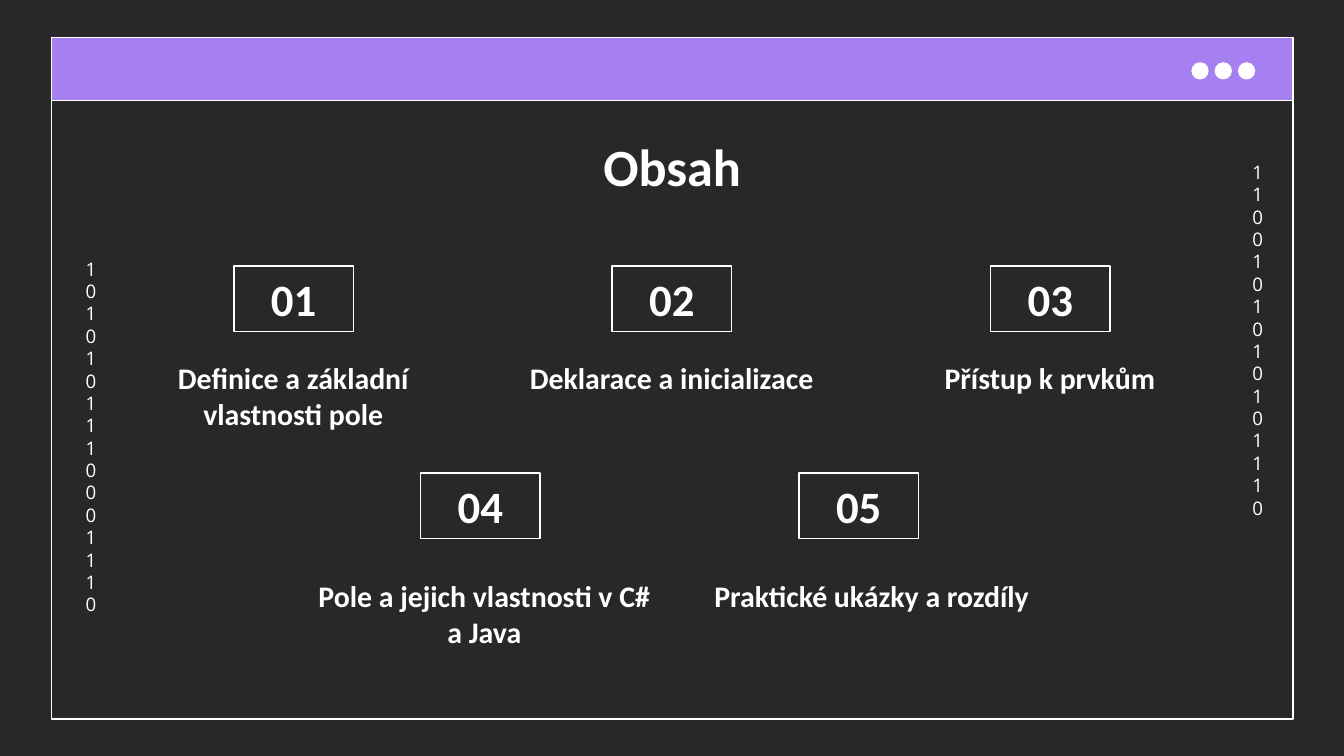
from pptx import Presentation
from pptx.dml.color import RGBColor
from pptx.enum import shapes, text
from pptx.util import Cm, Pt

COLORS = {"background": "292828", "bar": "A67FF1", "light": "FFFFFF"}

TITLE = {"name": "Calibri", "size": Pt(28), "bold": True}
NUMBER = {"name": "Calibri", "size": Pt(24), "bold": True}
LABEL = {"name": "Calibri", "size": Pt(16), "bold": True}
BINARY = {"name": "Open Sans", "size": Pt(10), "bold": False}

INSET = Cm(0.25)
FRAME = {
    "word_wrap": True,
    "margin_left": INSET,
    "margin_right": INSET,
    "margin_top": INSET,
    "margin_bottom": INSET,
}

# Each row: number left, top and pitch; label left, top, height and pitch; items
ROWS = [
    ((4.42, 5.03, 7.15), (2, 6.55, 1.42, 7.15), [
        ("01", "Definice a základní vlastnosti pole"),
        ("02", "Deklarace a inicializace"),
        ("03", "Přístup k prvkům"),
    ]),
    ((7.95, 8.94, 7.15), (5.61, 10.67, 1.6, 7.32), [
        ("04", "Pole a jejich vlastnosti v C# a Java"),
        ("05", "Praktické ukázky a rozdíly"),
    ]),
]


def color(key):
    return RGBColor.from_string(COLORS[key])


def set_all(target, values):
    for key, value in values.items():
        setattr(target, key, value)


def write(shape, paragraphs, font, anchor=text.MSO_ANCHOR.TOP, spacing=None):
    """Fill a shape with centred light paragraphs."""
    frame = shape.text_frame
    set_all(frame, FRAME)
    frame.vertical_anchor = anchor
    frame.text = "\n".join(paragraphs)
    for paragraph in frame.paragraphs:
        paragraph.alignment = text.PP_ALIGN.CENTER
        paragraph.line_spacing = spacing
        for run in paragraph.runs:
            set_all(run.font, font)
            run.font.color.rgb = color("light")


def add_outlined(slide, kind, box, fill=None):
    shape = slide.shapes.add_shape(kind, *map(Cm, box))
    shape.shadow.inherit = False
    if fill:
        shape.fill.solid()
        shape.fill.fore_color.rgb = color(fill)
    else:
        shape.fill.background()
    shape.line.color.rgb = color("light")
    shape.line.width = Pt(0.75)
    return shape


def add_text(slide, box, paragraphs, font, spacing=None):
    write(slide.shapes.add_textbox(*map(Cm, box)), paragraphs, font, spacing=spacing)


def add_window(slide):
    rectangle = shapes.MSO_SHAPE.RECTANGLE
    add_outlined(slide, rectangle, (0.97, 0.71, 23.47, 12.88))
    add_outlined(slide, rectangle, (0.97, 0.71, 23.47, 1.19), "bar")
    for index in range(3):
        dot = (22.53 + 0.44 * index, 1.19, 0.3, 0.3)
        add_outlined(slide, shapes.MSO_SHAPE.OVAL, dot, "light")


def add_binary_column(slide, left, top, digits):
    """Narrow box in which every digit wraps to its own line."""
    add_text(slide, (left, top, 0.61, 7.11), digits, BINARY, Pt(12))


def add_row(slide, number_grid, label_grid, items):
    number_left, number_top, number_pitch = number_grid
    label_left, label_top, label_height, label_pitch = label_grid
    for index, (number, label) in enumerate(items):
        number_box = (number_left + number_pitch * index, number_top, 2.26, 1.24)
        label_box = (label_left + label_pitch * index, label_top, 7.09, label_height)
        frame = add_outlined(slide, shapes.MSO_SHAPE.RECTANGLE, number_box)
        write(frame, [number], NUMBER, text.MSO_ANCHOR.MIDDLE)
        add_text(slide, label_box, [label], LABEL)


def main():
    presentation = Presentation()
    presentation.slide_width = Cm(25.4)
    presentation.slide_height = Cm(14.29)
    slide = presentation.slides.add_slide(presentation.slide_layouts[6])
    slide.background.fill.solid()
    slide.background.fill.fore_color.rgb = color("background")

    add_window(slide)
    add_binary_column(slide, 23.42, 2.79, ["1100101010101110"])
    add_binary_column(slide, 1.37, 4.62, ["101010111000111", "0"])
    add_text(slide, (2, 2.29, 21.41, 1.6), ["Obsah"], TITLE)
    for row in ROWS:
        add_row(slide, *row)

    presentation.save("out.pptx")


if __name__ == "__main__":
    main()
